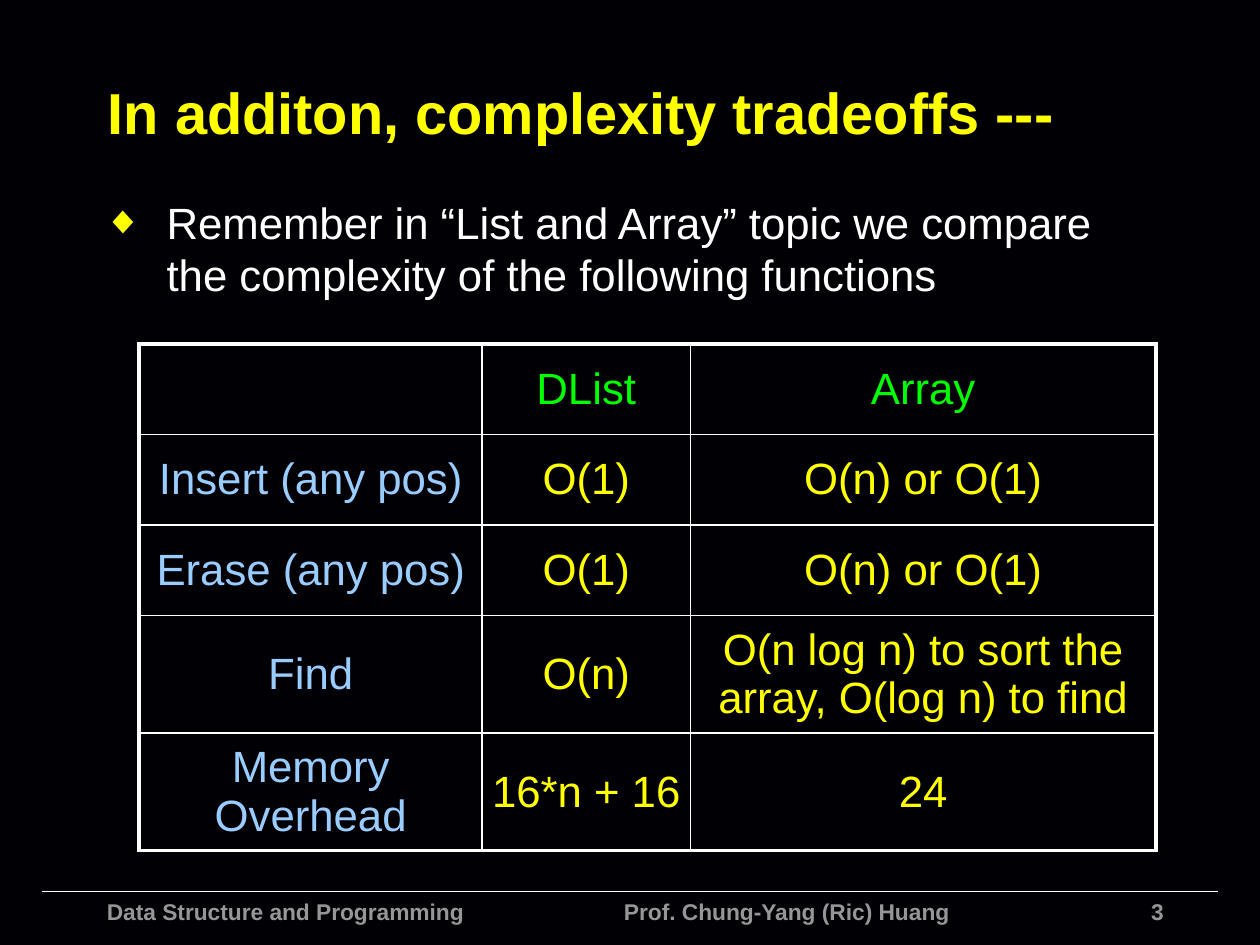
from lxml.etree import SubElement
from pptx import Presentation
from pptx.dml.color import RGBColor
from pptx.enum.text import MSO_ANCHOR, MSO_AUTO_SIZE, PP_ALIGN
from pptx.oxml.ns import qn
from pptx.util import Pt

BLACK = RGBColor(0x01, 0x00, 0x04)
WHITE = RGBColor(0xFF, 0xFF, 0xFF)
YELLOW = RGBColor(0xFF, 0xFF, 0x00)
GREEN = RGBColor(0x00, 0xFF, 0x00)
BLUE = RGBColor(0x99, 0xCC, 0xFF)
GREY = RGBColor(0x96, 0x96, 0x96)

FONT = "Arial"
BODY_SIZE = 25
OUTER_LINE, INNER_LINE = 2.25, 1

COLUMN_WIDTHS = [196, 119, 266]
ROW_HEIGHTS = [51.75, 51.75, 51.75, 67, 67]
COMPLEXITIES = [
    ["", "DList", "Array"],
    ["Insert (any pos)", "O(1)", "O(n) or O(1)"],
    ["Erase (any pos)", "O(1)", "O(n) or O(1)"],
    ["Find", "O(n)", "O(n log n) to sort the array, O(log n) to find"],
    ["Memory Overhead", "16*n + 16", "24"],
]


def write_text(frame, text, size=BODY_SIZE, color=WHITE, bold=False,
               align=PP_ALIGN.LEFT, before=0):
    """Fill a text frame with one formatted paragraph and return it."""
    frame.word_wrap = True
    para = frame.paragraphs[0]
    para.alignment = align
    para.space_before = Pt(before)
    span = para.add_run()
    span.text = text
    span.font.name = FONT
    span.font.size = Pt(size)
    span.font.bold = bold
    span.font.color.rgb = color
    return para


def place(box, left, top, width, height):
    box.left, box.top = Pt(left), Pt(top)
    box.width, box.height = Pt(width), Pt(height)


def add_label(page, text, left, top, width, height, **style):
    box = page.shapes.add_textbox(Pt(left), Pt(top), Pt(width), Pt(height))
    return write_text(box.text_frame, text, **style)


def add_rule(page, left, right, y):
    rule = page.shapes.add_connector(1, Pt(left), Pt(y), Pt(right), Pt(y))
    rule.line.color.rgb = WHITE
    rule.line.width = Pt(1)
    SubElement(rule._element.spPr, qn("a:effectLst"))


def set_bullet(para, char, color, percent, indent):
    properties = para._p.get_or_add_pPr()
    properties.set("marL", str(Pt(indent)))
    properties.set("indent", str(-Pt(indent)))
    bullet_color = SubElement(properties, qn("a:buClr"))
    SubElement(bullet_color, qn("a:srgbClr"), val=str(color))
    SubElement(properties, qn("a:buSzPct"), val=str(percent * 1000))
    SubElement(properties, qn("a:buFont"), typeface=FONT)
    SubElement(properties, qn("a:buChar"), char=char)


def set_tab(para, position):
    tabs = SubElement(para._p.get_or_add_pPr(), qn("a:tabLst"))
    SubElement(tabs, qn("a:tab"), pos=str(Pt(position)), algn="l")


def set_borders(cell, widths):
    """Draw white borders; they must come before the fill of the cell."""
    properties = cell._tc.get_or_add_tcPr()
    for index, (side, width) in enumerate(widths.items()):
        border = properties.makeelement(qn(f"a:ln{side}"), {"w": str(Pt(width))})
        properties.insert(index, border)
        fill = SubElement(border, qn("a:solidFill"))
        SubElement(fill, qn("a:srgbClr"), val=str(WHITE))


def add_complexity_table(page, left, top):
    rows, columns = len(ROW_HEIGHTS), len(COLUMN_WIDTHS)
    table = page.shapes.add_table(
        rows, columns, Pt(left), Pt(top),
        Pt(sum(COLUMN_WIDTHS)), Pt(sum(ROW_HEIGHTS))).table
    table.first_row = table.horz_banding = False
    for column, width in zip(table.columns, COLUMN_WIDTHS):
        column.width = Pt(width)
    for row, height in zip(table.rows, ROW_HEIGHTS):
        row.height = Pt(height)

    for r, values in enumerate(COMPLEXITIES):
        for c, value in enumerate(values):
            cell = table.cell(r, c)
            cell.fill.background()
            cell.vertical_anchor = MSO_ANCHOR.MIDDLE
            cell.margin_left = cell.margin_right = Pt(3.6)
            cell.margin_top = cell.margin_bottom = Pt(3.6)
            color = GREEN if r == 0 else BLUE if c == 0 else YELLOW
            if value:
                write_text(cell.text_frame, value, color=color,
                           align=PP_ALIGN.CENTER)
            on_edge = {"L": c == 0, "R": c == columns - 1,
                       "T": r == 0, "B": r == rows - 1}
            set_borders(cell, {side: OUTER_LINE if edge else INNER_LINE
                               for side, edge in on_edge.items()})


def main():
    deck = Presentation()
    deck.slide_width, deck.slide_height = Pt(720), Pt(540)
    page = deck.slides.add_slide(deck.slide_layouts[1])
    page.background.fill.solid()
    page.background.fill.fore_color.rgb = BLACK

    # Footer
    add_rule(page, 24, 696, 509.5)
    footer = {"size": 13, "color": GREY, "bold": True}
    add_label(page, "3", 444, 509.5, 228, 23, align=PP_ALIGN.RIGHT, **footer)
    credit = add_label(
        page, "Data Structure and Programming\tProf. Chung-Yang (Ric) Huang",
        54, 509.5, 521, 30, **footer)
    set_tab(credit, 295.5)

    # Title
    title = page.shapes.title
    place(title, 54.5, 27, 636.5, 73)
    title.text_frame.auto_size = MSO_AUTO_SIZE.NONE
    title.text_frame.vertical_anchor = MSO_ANCHOR.MIDDLE
    write_text(title.text_frame, "In additon, complexity tradeoffs ---",
               size=33, color=YELLOW, bold=True)

    # Body
    body = page.placeholders[1]
    place(body, 52, 108, 612, 372)
    body.text_frame.auto_size = MSO_AUTO_SIZE.NONE
    point = write_text(
        body.text_frame,
        "Remember in “List and Array” topic we compare "
        "the complexity of the following functions", before=3)
    set_bullet(point, "◆", YELLOW, 90, 36)

    # Table of complexities
    add_complexity_table(page, 79.5, 196.5)

    deck.save("out.pptx")


if __name__ == "__main__":
    main()
